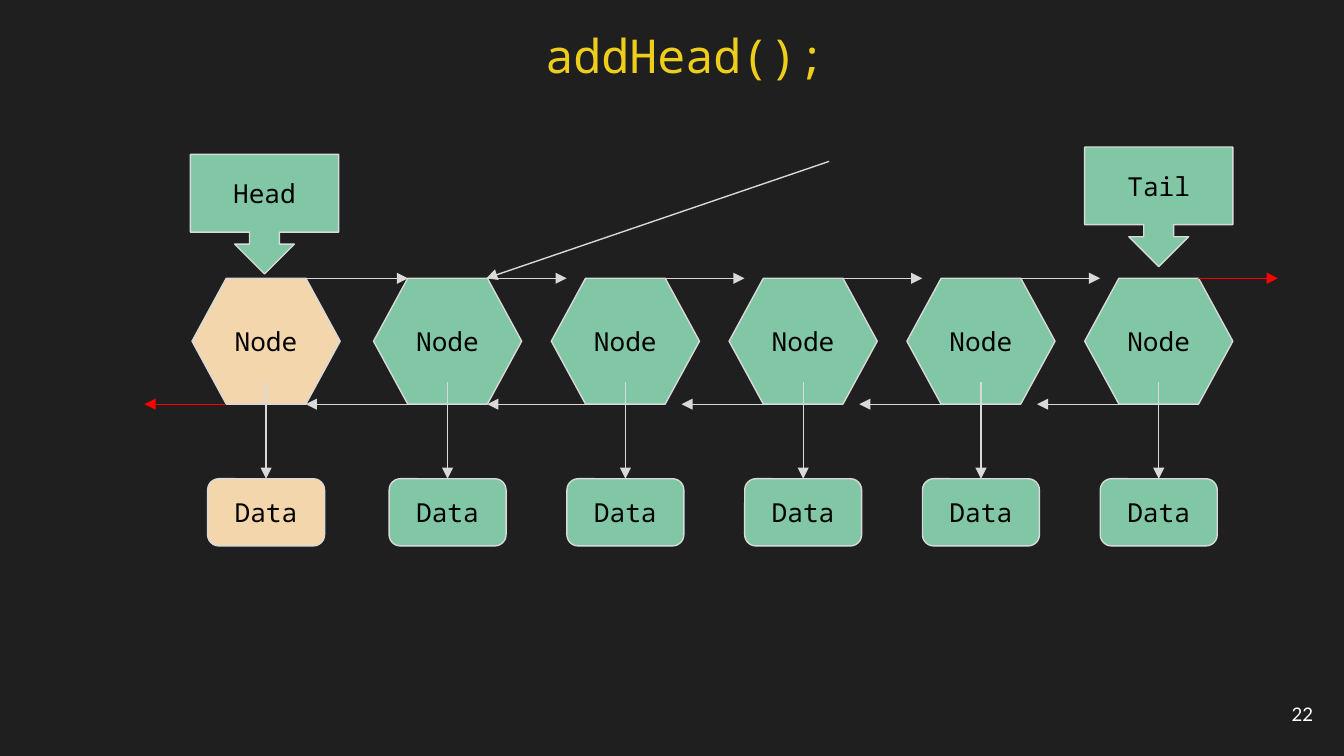
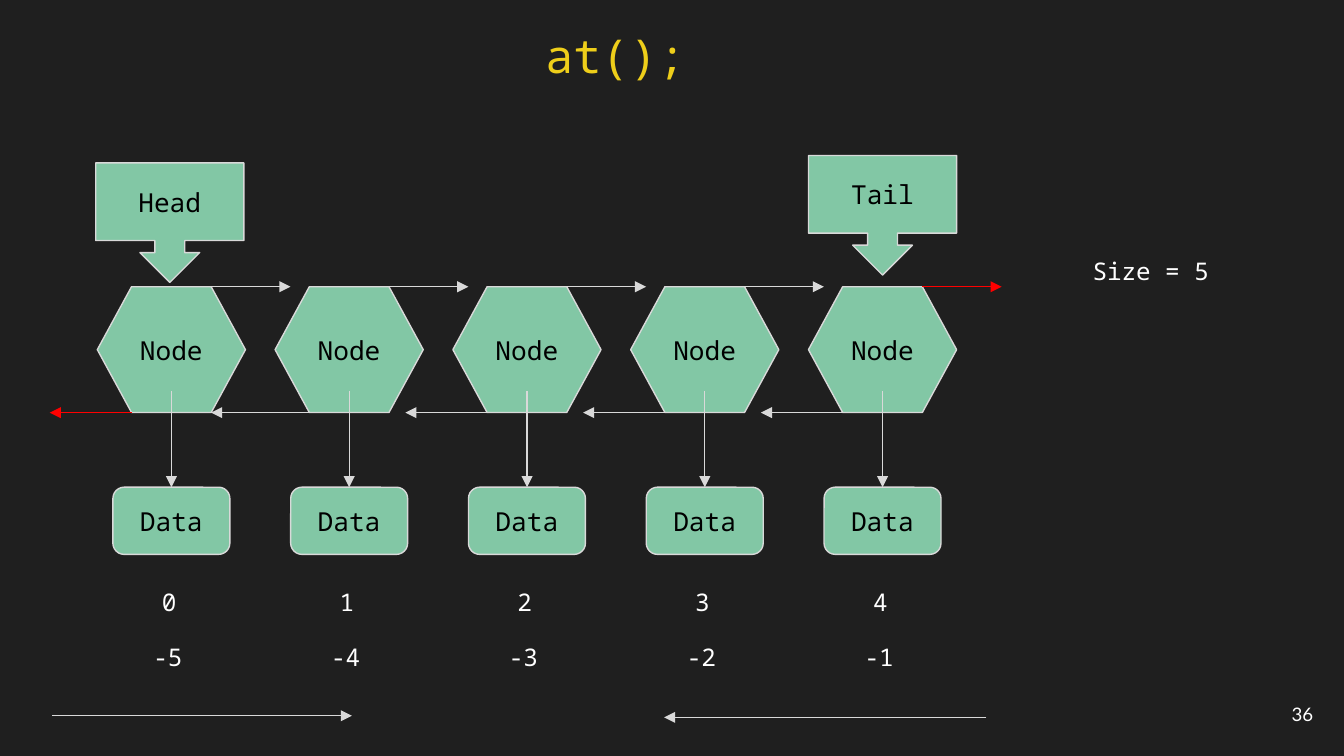
"""Build two slides that show list operations on a doubly linked list."""
from lxml import etree
from pptx import Presentation
from pptx.dml.color import RGBColor
from pptx.enum.shapes import MSO_CONNECTOR, MSO_SHAPE
from pptx.enum.text import MSO_ANCHOR, MSO_AUTO_SIZE, PP_ALIGN
from pptx.oxml.ns import qn
from pptx.util import Cm, Pt

HEXAGON = MSO_SHAPE.HEXAGON
ROUNDED = MSO_SHAPE.ROUNDED_RECTANGLE
CALLOUT = MSO_SHAPE.DOWN_ARROW_CALLOUT
STRAIGHT = MSO_CONNECTOR.STRAIGHT
TOP, MIDDLE = MSO_ANCHOR.TOP, MSO_ANCHOR.MIDDLE
LEFT, CENTER, RIGHT = PP_ALIGN.LEFT, PP_ALIGN.CENTER, PP_ALIGN.RIGHT
FIT_TEXT, NO_FIT = MSO_AUTO_SIZE.SHAPE_TO_FIT_TEXT, MSO_AUTO_SIZE.NONE

BACKGROUND = RGBColor(0x1F, 0x1F, 0x1F)
YELLOW = RGBColor(0xEE, 0xCE, 0x1A)
GREEN = RGBColor(0x82, 0xC7, 0xA5)
PEACH = RGBColor(0xF4, 0xD6, 0xAD)
GRAY = RGBColor(0xD9, 0xD9, 0xD9)
RED = RGBColor(0xFF, 0x00, 0x00)
WHITE = RGBColor(0xFF, 0xFF, 0xFF)
BLACK = RGBColor(0x00, 0x00, 0x00)

MONO, SANS = "Noto Sans Mono", "Lato"
TITLE = {"name": MONO, "size": Pt(25), "color": YELLOW}
PAGE = {"name": SANS, "size": Pt(10), "color": WHITE}
LABEL = {"name": MONO, "size": Pt(14), "color": BLACK}
NOTE = {"name": MONO, "size": Pt(13), "color": WHITE}

PITCH = 3.36
NODE_WIDTH, NODE_HEIGHT = 2.8, 2.38
CORNER_LEFT, CORNER_RIGHT = 0.65, 2.15
NEXT_REACH, PREVIOUS_REACH = 1.5, 1.55
DATA_WIDTH, DATA_HEIGHT, DATA_DROP = 2.21, 1.27, 3.79
DATA_ARROW_DROP = 1.97
CALLOUT_HEIGHT, HEAD_RISE, TAIL_RISE = 2.26, 2.34, 2.48
INDEX_TOP, NEGATIVE_TOP = 10.85, 11.89

SLIDES = [
    {
        "title": "addHead();",
        "page": "22",
        "node_lefts": [3.63] + [7.06 + PITCH * step for step in range(5)],
        "node_top": 5.26,
        "new_nodes": {0},
        "full_next": {0},
        "full_previous": {1, 2},
        "arrows": [((15.67, 3.05), (9.19, 5.26))],
        "indexed": False,
        "notes": [],
    },
    {
        "title": "at();",
        "page": "36",
        "node_lefts": [1.84 + PITCH * step for step in range(5)],
        "node_top": 5.42,
        "new_nodes": set(),
        "full_next": set(),
        "full_previous": {1},
        "arrows": [((18.64, 13.56), (12.55, 13.56)), ((0.99, 13.53), (6.65, 13.53))],
        "indexed": True,
        "notes": [("Size = 5", (20.4, 4.6, 4.67, 1.07))],
    },
]


def write(shape, text, style, align=LEFT, anchor=TOP, fit=NO_FIT):
    frame = shape.text_frame
    settings = {"word_wrap": True, "vertical_anchor": anchor, "auto_size": fit}
    for side in ("left", "top", "right", "bottom"):
        settings[f"margin_{side}"] = Cm(0.25)
    for name, value in settings.items():
        setattr(frame, name, value)
    paragraph = frame.paragraphs[0]
    paragraph.alignment = align
    run = paragraph.add_run()
    run.text = text
    for name in ("name", "size"):
        setattr(run.font, name, style[name])
    run.font.color.rgb = style["color"]


def add_text(slide, text, box, style, **layout):
    write(slide.shapes.add_textbox(*map(Cm, box)), text, style, **layout)


def add_box(shapes, kind, text, box, fill):
    shape = shapes.add_shape(kind, *map(Cm, box))
    shape.shadow.inherit = False
    shape.fill.solid()
    shape.fill.fore_color.rgb = fill
    shape.line.color.rgb = GRAY
    shape.line.width = Pt(0.75)
    write(shape, text, LABEL, CENTER, MIDDLE)
    return shape


def add_arrow(shapes, start, end, color=GRAY):
    arrow = shapes.add_connector(STRAIGHT, *map(Cm, (*start, *end)))
    arrow.line.color.rgb = color
    arrow.line.width = Pt(0.75)
    etree.SubElement(arrow.line._get_or_add_ln(), qn("a:tailEnd"), type="triangle")
    etree.SubElement(arrow._element.spPr, qn("a:effectLst"))


def add_node(slide, content, index):
    lefts, top = content["node_lefts"], content["node_top"]
    left, last = lefts[index], len(lefts) - 1
    is_new = index in content["new_nodes"]
    shapes = slide.shapes.add_group_shape().shapes if is_new else slide.shapes
    fill = PEACH if is_new else GREEN
    bottom, middle = top + NODE_HEIGHT, left + NODE_WIDTH / 2

    hexagon = add_box(shapes, HEXAGON, "Node", (left, top, NODE_WIDTH, NODE_HEIGHT), fill)
    hexagon.adjustments[0] = 0.272

    start = left + CORNER_LEFT
    end = start - PREVIOUS_REACH
    if index in content["full_previous"]:
        end = lefts[index - 1] + CORNER_RIGHT
    add_arrow(shapes, (start, bottom), (end, bottom), GRAY if index else RED)

    start = left + CORNER_RIGHT
    end = start + NEXT_REACH
    if index in content["full_next"]:
        end = lefts[index + 1] + CORNER_LEFT
    add_arrow(shapes, (start, top), (end, top), GRAY if index < last else RED)

    data_top = top + DATA_DROP
    add_arrow(shapes, (middle, top + DATA_ARROW_DROP), (middle, data_top))
    data_box = (middle - DATA_WIDTH / 2, data_top, DATA_WIDTH, DATA_HEIGHT)
    add_box(shapes, ROUNDED, "Data", data_box, fill)

    if content["indexed"]:
        add_text(slide, str(index), (left + 0.97, INDEX_TOP, 0.84, 1.07), NOTE, fit=FIT_TEXT)
        add_text(slide, str(index - len(lefts)), (left + 0.81, NEGATIVE_TOP, 1.17, 1.07),
                 NOTE, fit=FIT_TEXT)


def build_slide(presentation, content):
    slide = presentation.slides.add_slide(presentation.slide_layouts[6])
    slide.background.fill.solid()
    slide.background.fill.fore_color.rgb = BACKGROUND
    add_text(slide, content["title"], (10.06, 0.25, 11.33, 1.73), TITLE)
    add_text(slide, content["page"], (23.55, 12.95, 1.52, 1.09), PAGE,
             align=RIGHT, anchor=MIDDLE)

    lefts, top = content["node_lefts"], content["node_top"]
    for index in range(len(lefts)):
        add_node(slide, content, index)
    for text, left, rise in (("Head", lefts[0] - 0.03, HEAD_RISE),
                             ("Tail", lefts[-1], TAIL_RISE)):
        add_box(slide.shapes, CALLOUT, text,
                (left, top - rise, NODE_WIDTH, CALLOUT_HEIGHT), GREEN)
    for text, box in content["notes"]:
        add_text(slide, text, box, NOTE, fit=FIT_TEXT)
    for start, end in content["arrows"]:
        add_arrow(slide.shapes, start, end)


def main():
    presentation = Presentation()
    presentation.slide_width, presentation.slide_height = Cm(25.4), Cm(14.29)
    for content in SLIDES:
        build_slide(presentation, content)
    presentation.save("out.pptx")


if __name__ == "__main__":
    main()
